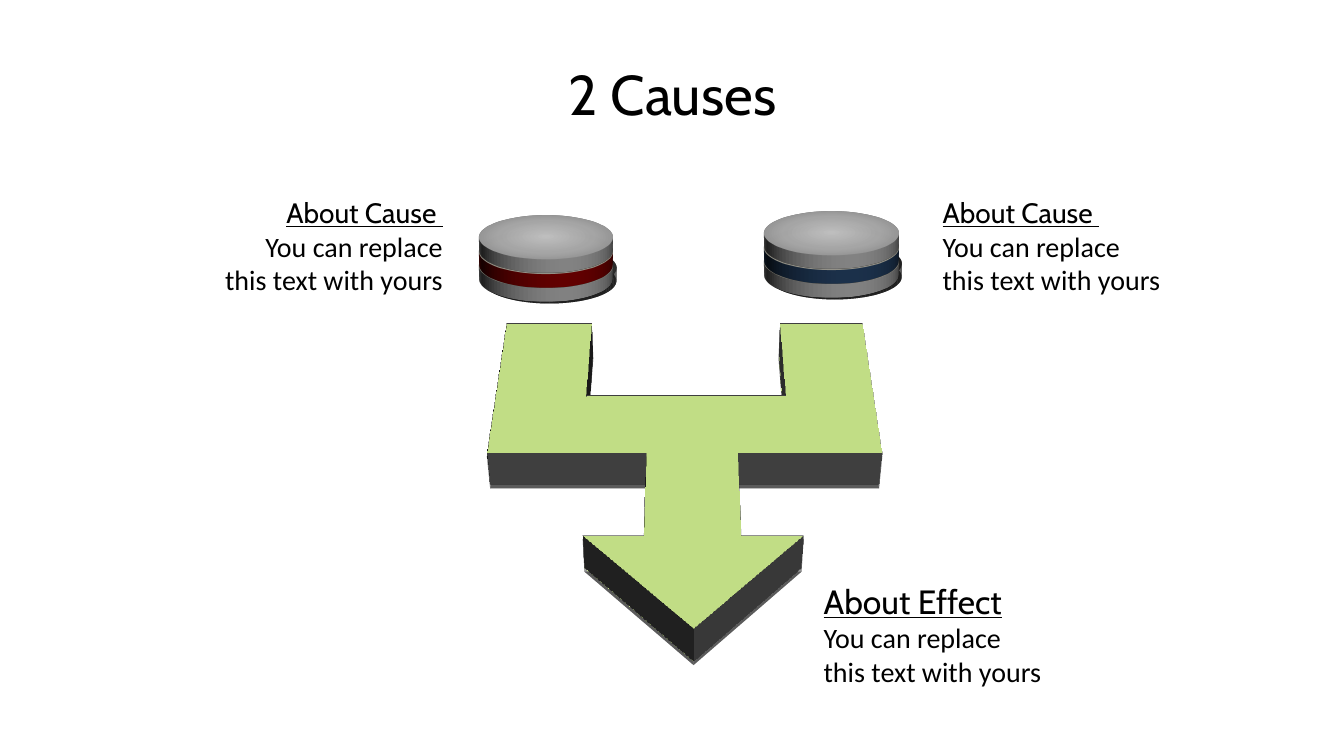
from lxml import etree
from pptx import Presentation
from pptx.dml.color import RGBColor
from pptx.enum.shapes import MSO_SHAPE
from pptx.enum.text import MSO_ANCHOR, MSO_AUTO_SIZE, PP_ALIGN
from pptx.oxml.ns import qn
from pptx.util import Inches, Pt

OVAL = MSO_SHAPE.OVAL
MIDDLE = MSO_ANCHOR.MIDDLE
GROW = MSO_AUTO_SIZE.SHAPE_TO_FIT_TEXT
LEFT, CENTER, RIGHT = PP_ALIGN.LEFT, PP_ALIGN.CENTER, PP_ALIGN.RIGHT

COLORS = {
    "text": "000000", "shadow": "000000", "green": "77933C",
    "side": "7F7F7F", "white": "FFFFFF", "red": "C00000", "blue": "376092",
    "rim": "808080",
}
LAYER_BLEND = ("D9D9D9", "BFBFBF", "4A452A")
TOP_BLEND = ("BFBFBF", "A6A6A6", "808080")
HEADING_FONT, BODY_FONT = "Cabin", "Calibri"
BODY_TEXT = "You can replace this text with yours"

DISC_WIDTH, DISC_HEIGHT, LAYER = 1.33, 1.31, 0.14
ARROW_TILT, DISC_TILT = 309.56, 289.56
ARROW_POINTS = [
    (4.83, 4.45), (4.83, 2.2), (5.77, 2.2), (5.77, 3.51), (7.84, 3.51),
    (7.84, 2.2), (8.75, 2.2), (8.75, 4.45), (7.32, 4.45), (7.32, 5.67),
    (7.9, 5.67), (6.87, 6.88), (5.84, 5.67), (6.41, 5.67), (6.41, 4.45),
]


def rgb(name):
    return RGBColor.from_string(COLORS[name])


def add_node(parent, tag, **attributes):
    return etree.SubElement(parent, qn("a:" + tag),
                            {key: str(value) for key, value in attributes.items()})


def degrees(angle):
    return round(angle * 60000)


class SlideBuilder:
    def __init__(self, slide):
        self.shapes = slide.shapes

    def shadow(self, shape, blur, direction):
        shape.shadow.inherit = False
        effects = shape._element.spPr.find(qn("a:effectLst"))
        outer = add_node(effects, "outerShdw", blurRad=Pt(blur), dist=Pt(3),
                         dir=degrees(direction), algn="t", rotWithShape=0)
        color = add_node(outer, "srgbClr", val=COLORS["shadow"])
        add_node(color, "alpha", val=40000)

    def extrude(self, shape, tilt, depth, side):
        """Tilt the shape backwards and give it a thickness in points."""
        properties = shape._element.spPr
        scene = add_node(properties, "scene3d")
        camera = add_node(scene, "camera", prst="perspectiveRelaxed")
        add_node(camera, "rot", lat=degrees(tilt), lon=0, rev=0)
        add_node(scene, "lightRig", rig="threePt", dir="t")
        solid = add_node(properties, "sp3d", extrusionH=Pt(depth))
        color = add_node(solid, "extrusionClr")
        add_node(color, "srgbClr", val=COLORS[side])

    def radial_fill(self, shape, blend):
        shape.fill.gradient()
        gradient = shape.fill._xPr.find(qn("a:gradFill"))
        for child in list(gradient):
            gradient.remove(child)
        stops = add_node(gradient, "gsLst")
        for place, color in zip((0, 50000, 100000), blend):
            add_node(add_node(stops, "gs", pos=place), "srgbClr", val=color)
        circle = add_node(gradient, "path", path="circle")
        add_node(circle, "fillToRect", l=50000, t=50000, r=50000, b=50000)

    def arrow(self):
        corners = [(Inches(x), Inches(y)) for x, y in ARROW_POINTS]
        builder = self.shapes.build_freeform(*corners[0], scale=1.0)
        builder.add_line_segments(corners[1:], close=True)
        arrow = builder.convert_to_shape()
        arrow.fill.solid()
        arrow.fill.fore_color.rgb = rgb("green")
        arrow.line.fill.background()
        self.shadow(arrow, 14, 90)
        self.extrude(arrow, ARROW_TILT, 30, "side")

    def disc(self, left, bottom_top, band):
        """Three stacked layers, the lowest at bottom_top."""
        group = self.shapes.add_group_shape()
        layers = ((LAYER_BLEND, "white"), (LAYER_BLEND, band), (TOP_BLEND, "white"))
        for level, (blend, side) in enumerate(layers):
            layer = group.shapes.add_shape(
                OVAL, Inches(left), Inches(bottom_top - level * LAYER),
                Inches(DISC_WIDTH), Inches(DISC_HEIGHT))
            self.radial_fill(layer, blend)
            layer.line.color.rgb = rgb("rim")
            layer.line.width = Pt(2)
            if level:
                layer.shadow.inherit = False
            else:
                self.shadow(layer, 34, 32)
            self.extrude(layer, DISC_TILT, 10, side)

    def text(self, area, lines, align):
        """Each line is (text, size, font, underlined)."""
        box = self.shapes.add_textbox(*map(Inches, area))
        frame = box.text_frame
        frame.word_wrap = True
        for number, (words, size, font, underlined) in enumerate(lines):
            para = frame.add_paragraph() if number else frame.paragraphs[0]
            para.alignment = align
            span = para.add_run()
            span.text = words
            span.font.size = Pt(size)
            span.font.name = font
            span.font.underline = underlined
            span.font.color.rgb = rgb("text")
        return frame

    def caption(self, area, heading, size, align):
        lines = [(heading, size, HEADING_FONT, True),
                 (BODY_TEXT, 20, BODY_FONT, False)]
        self.text(area, lines, align).auto_size = GROW


def main():
    deck = Presentation()
    deck.slide_width, deck.slide_height = Inches(13.33), Inches(7.5)
    page = SlideBuilder(deck.slides.add_slide(deck.slide_layouts[6]))

    title = page.text((0.67, 0.3, 12, 1.25),
                      [("2 Causes", 40, HEADING_FONT, False)], CENTER)
    title.vertical_anchor = MIDDLE
    page.arrow()
    page.disc(4.75, 1.97, "red")
    page.disc(7.58, 1.93, "blue")
    page.caption((2.08, 1.89, 2.41, 1.11), "About Cause ", 20, RIGHT)
    page.caption((8.07, 5.71, 2.41, 1.18), "About Effect", 24, LEFT)
    page.caption((9.25, 1.89, 2.41, 1.11), "About Cause ", 20, LEFT)
    deck.save("out.pptx")


if __name__ == "__main__":
    main()
